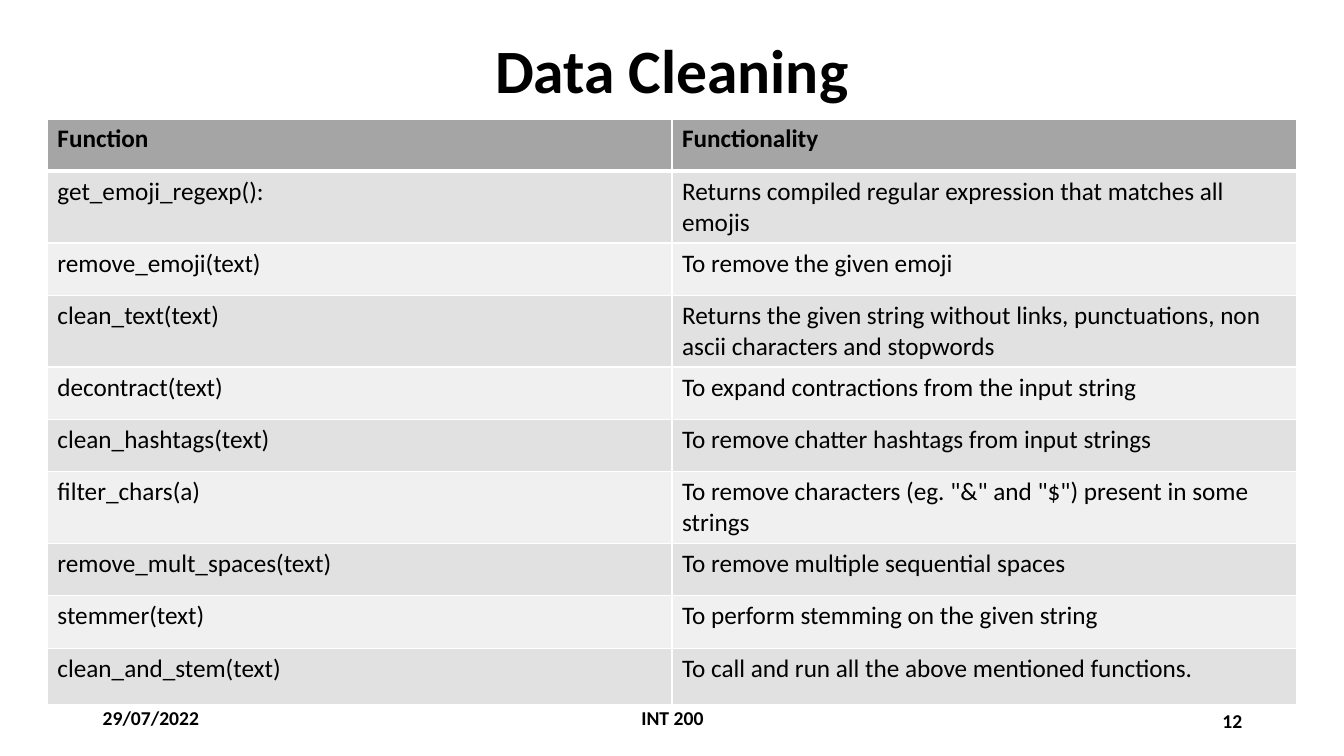
"""Build the Data Cleaning slide: a table of functions with a title and footer."""
from lxml import etree
from pptx import Presentation
from pptx.dml.color import RGBColor
from pptx.enum.text import MSO_ANCHOR, PP_ALIGN
from pptx.oxml.ns import qn
from pptx.util import Inches, Pt

THEME = {
    "font": "Calibri", "text": "000000", "border": "FFFFFF",
    "head": "A5A5A5", "bands": ("E1E1E1", "F0F0F0"),
    "title": 44, "body": 18, "footer": 14,
}
ROWS = [
    ("Function", "Functionality"),
    ("get_emoji_regexp():", "Returns compiled regular expression that matches all emojis"),
    ("remove_emoji(text)", "To remove the given emoji"),
    ("clean_text(text)", "Returns the given string without links, punctuations, non ascii characters and stopwords"),
    ("decontract(text)", "To expand contractions from the input string"),
    ("clean_hashtags(text)", "To remove chatter hashtags from input strings"),
    ("filter_chars(a)", 'To remove characters (eg. "&" and "$") present in some strings'),
    ("remove_mult_spaces(text)", "To remove multiple sequential spaces"),
    ("stemmer(text)", "To perform stemming on the given string"),
    ("clean_and_stem(text)", "To call and run all the above mentioned functions."),
]
ROW_H, LAST_ROW_H, COL_W = 0.52, 0.56, 6.195
FOOTER_TOP, FOOTER_H = 6.95, 0.4


def write(tf, text, size, bold=True, align=PP_ALIGN.LEFT, anchor=MSO_ANCHOR.TOP, spacing=None):
    """Put one formatted paragraph in a text frame."""
    tf.word_wrap = True
    tf.vertical_anchor = anchor
    p = tf.paragraphs[0]
    p.alignment = align
    p.line_spacing = spacing
    r = p.add_run()
    r.text = text
    r.font.name = THEME["font"]
    r.font.size = Pt(size)
    r.font.bold = bold
    r.font.color.rgb = RGBColor.from_string(THEME["text"])


def set_borders(cell, top, bottom):
    """Draw the four cell borders; top and bottom are widths in points."""
    tc_pr = cell._tc.get_or_add_tcPr()
    for i, (side, width) in enumerate((("L", 1), ("R", 1), ("T", top), ("B", bottom))):
        ln = etree.Element(qn(f"a:ln{side}"), w=str(Pt(width)))
        fill = etree.SubElement(ln, qn("a:solidFill"))
        etree.SubElement(fill, qn("a:srgbClr"), val=THEME["border"])
        tc_pr.insert(i, ln)


prs = Presentation()
prs.slide_width, prs.slide_height = Inches(13.33), Inches(7.5)
s = prs.slides.add_slide(prs.slide_layouts[6])

table = s.shapes.add_table(
    len(ROWS), 2, Inches(0.47), Inches(1.18), Inches(2 * COL_W),
    Inches(ROW_H * (len(ROWS) - 1) + LAST_ROW_H)).table
table.horz_banding = False
for col in table.columns:
    col.width = Inches(COL_W)
for i, texts in enumerate(ROWS):
    table.rows[i].height = Inches(LAST_ROW_H if i == len(ROWS) - 1 else ROW_H)
    color = THEME["bands"][(i - 1) % 2] if i else THEME["head"]
    for j, text in enumerate(texts):
        cell = table.cell(i, j)
        cell.fill.solid()
        cell.fill.fore_color.rgb = RGBColor.from_string(color)
        set_borders(cell, top=3 if i == 1 else 1, bottom=3 if i == 0 else 1)
        write(cell.text_frame, text, THEME["body"], bold=i == 0)

TEXTS = [
    ("12", (9.42, FOOTER_TOP, 3, FOOTER_H), "footer",
     {"align": PP_ALIGN.RIGHT, "anchor": MSO_ANCHOR.MIDDLE}),
    ("29/07/2022", (0.92, FOOTER_TOP, 3, FOOTER_H), "footer", {}),
    ("INT 200", (4.42, FOOTER_TOP, 4.5, FOOTER_H), "footer", {"align": PP_ALIGN.CENTER}),
    ("Data Cleaning", (0, 0, 13.33, 1.45), "title",
     {"align": PP_ALIGN.CENTER, "anchor": MSO_ANCHOR.MIDDLE, "spacing": 0.9}),
]
for text, box, role, fmt in TEXTS:
    sp = s.shapes.add_textbox(*map(Inches, box))
    write(sp.text_frame, text, THEME[role], **fmt)

prs.save("out.pptx")
